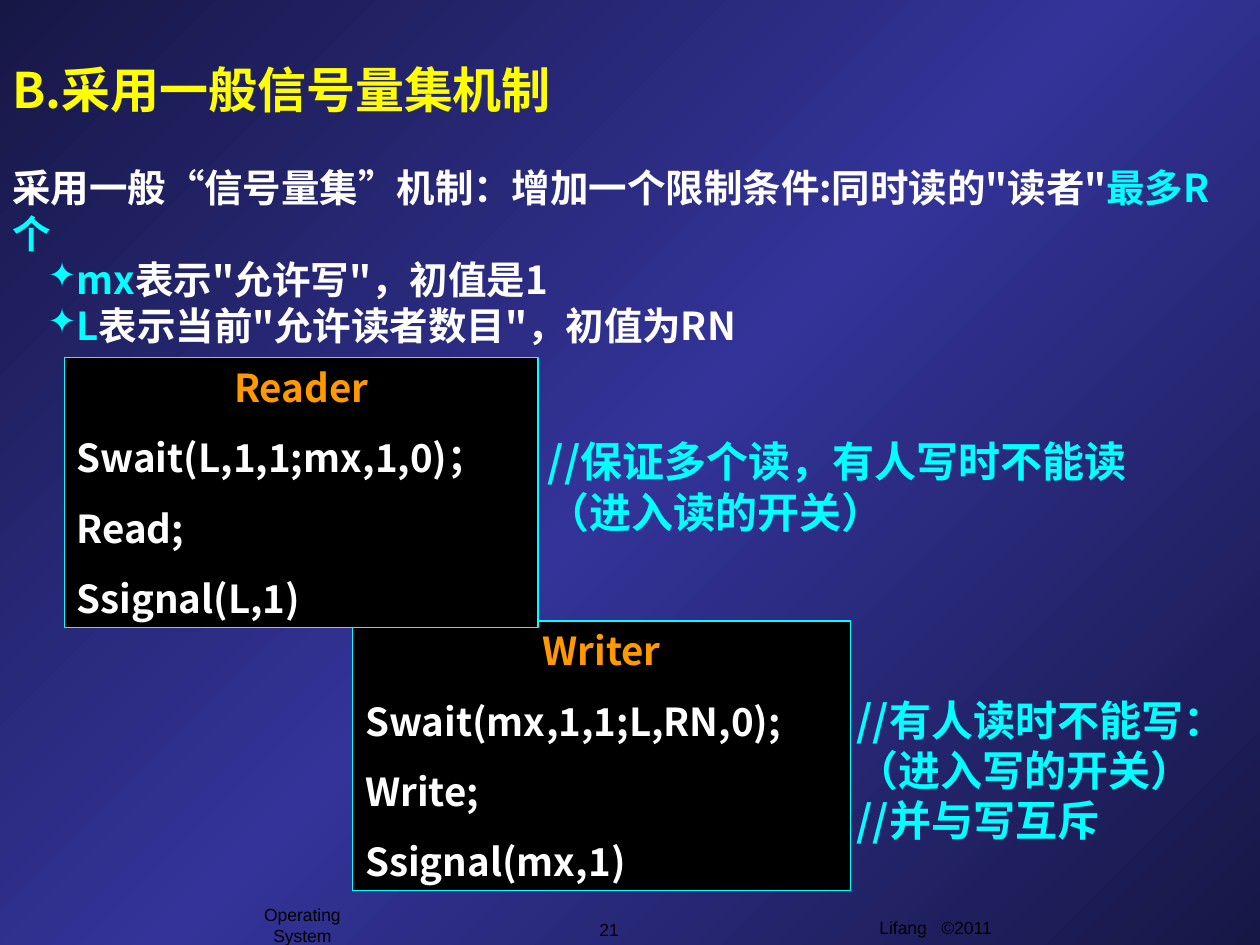
import copy

import lxml.etree
import pptx
import pptx.util
from pptx.dml.color import RGBColor
from pptx.enum.shapes import MSO_SHAPE
from pptx.enum.text import MSO_ANCHOR, PP_ALIGN
from pptx.oxml.ns import qn

NAVY, INDIGO = RGBColor(0x17, 0x17, 0x46), RGBColor(0x33, 0x33, 0x99)
BLACK, WHITE = RGBColor(0, 0, 0), RGBColor(255, 255, 255)
CYAN, YELLOW = RGBColor(0, 255, 255), RGBColor(255, 255, 0)
ORANGE = RGBColor(0xFF, 0x99, 0)
CJK = "Noto Sans CJK SC"
LEFT, CENTER = PP_ALIGN.LEFT, PP_ALIGN.CENTER

BACKGROUND = [(0, NAVY), (0.5, INDIGO), (1, NAVY)]
TITLE = "B.采用一般信号量集机制"
INTRO = [
    [('采用一般“信号量集”机制：增加一个限制条件:同时读的"读者"', WHITE), ("最多R个", CYAN)],
    [("mx", CYAN), ('表示"允许写"，初值是1', WHITE)],
    [("L", CYAN), ('表示当前"允许读者数目"，初值为RN', WHITE)],
]
# Boxes as left, top, width, height in inches
PROCESSES = [
    ("Writer", ["Swait(mx,1,1;L,RN,0);", "Write;", "Ssignal(mx,1)"], (2.8, 4.93, 3.95, 2.14)),
    ("Reader", ["Swait(L,1,1;mx,1,0)；", "Read;", "Ssignal(L,1)"], (0.51, 2.84, 3.76, 2.14)),
]
COMMENTS = [
    (["//保证多个读，有人写时不能读（进入读的开关）"], (4.25, 3.41, 4.92, 0.9), True),
    (["//有人读时不能写：", "（进入写的开关）", "//并与写互斥"], (6.7, 5.46, 3.28, 1.3), False),
]
FOOTERS = [
    ("Operating System", (1.75, 7.21, 1.3, 0.27), MSO_ANCHOR.MIDDLE),
    ("21", (4.42, 7.24, 0.83, 0.27), MSO_ANCHOR.MIDDLE),
    ("Lifang   ©2011", (5.84, 7.23, 3.17, 0.35), MSO_ANCHOR.TOP),
]


def inches(box):
    return [pptx.util.Inches(length) for length in box]


def paint_background(slide):
    fill = slide.background.fill
    fill.gradient()
    fill.gradient_angle = 135
    stops = slide.element.find(".//" + qn("a:gsLst"))
    stops.append(copy.deepcopy(stops[-1]))
    for stop, (position, color) in zip(fill.gradient_stops, BACKGROUND):
        stop.position = position
        stop.color.rgb = color


def write(frame, lines, size, font=CJK, bold=True, wrap=True, anchor=MSO_ANCHOR.TOP, before=0):
    """Fill the frame with lines, each an alignment and its (words, color) runs."""
    frame.word_wrap = wrap
    frame.vertical_anchor = anchor
    for index, (align, runs) in enumerate(lines):
        paragraph = frame.add_paragraph() if index else frame.paragraphs[0]
        paragraph.alignment = align
        paragraph.space_before = pptx.util.Pt(before)
        paragraph.font.size = pptx.util.Pt(size)
        paragraph.font.name = font
        paragraph.font.bold = bold
        east_asian = lxml.etree.SubElement(paragraph.font._element, qn("a:ea"))
        east_asian.set("typeface", font)
        for words, color in runs:
            run = paragraph.add_run()
            run.text = words
            run.font.color.rgb = color


def add_star_bullet(paragraph):
    props = paragraph._p.get_or_add_pPr()
    props.set("marL", str(pptx.util.Inches(0.5)))
    props.set("indent", str(pptx.util.Inches(-0.22)))
    color = lxml.etree.Element(qn("a:buClr"))
    lxml.etree.SubElement(color, qn("a:srgbClr")).set("val", str(CYAN))
    size = lxml.etree.Element(qn("a:buSzPct"))
    size.set("val", "90000")
    star = lxml.etree.Element(qn("a:buChar"))
    star.set("char", "✦")
    for part in (color, size, star):
        props.find(qn("a:defRPr")).addprevious(part)


def add_process(slide, name, steps, box):
    panel = slide.shapes.add_shape(MSO_SHAPE.RECTANGLE, *inches(box))
    panel.shadow.inherit = False
    panel.fill.solid()
    panel.fill.fore_color.rgb = BLACK
    panel.line.color.rgb = CYAN
    panel.line.width = pptx.util.Pt(0.75)
    lines = [(CENTER, [(name, ORANGE)])] + [(LEFT, [(step, WHITE)]) for step in steps]
    write(panel.text_frame, lines, 22, before=13.8)


def main():
    deck = pptx.Presentation()
    deck.slide_width, deck.slide_height = inches((10, 7.5))
    slide = deck.slides.add_slide(deck.slide_layouts[6])
    paint_background(slide)

    def text_frame(box):
        return slide.shapes.add_textbox(*inches(box)).text_frame

    for words, box, anchor in FOOTERS:
        write(text_frame(box), [(CENTER, [(words, BLACK)])], 10, "Arial", False,
              wrap=anchor == MSO_ANCHOR.TOP, anchor=anchor)
    for name, steps, box in PROCESSES:
        add_process(slide, name, steps, box)

    intro = text_frame((0, 1.25, 10, 1.57))
    write(intro, [(LEFT, runs) for runs in INTRO], 22)
    for paragraph in intro.paragraphs[1:]:
        add_star_bullet(paragraph)

    write(text_frame((0, 0.41, 8.5, 0.59)), [(LEFT, [(TITLE, YELLOW)])], 28,
          anchor=MSO_ANCHOR.MIDDLE)
    for lines, box, wrap in COMMENTS:
        write(text_frame(box), [(LEFT, [(line, CYAN)]) for line in lines], 24, wrap=wrap)

    deck.save("out.pptx")


if __name__ == "__main__":
    main()
